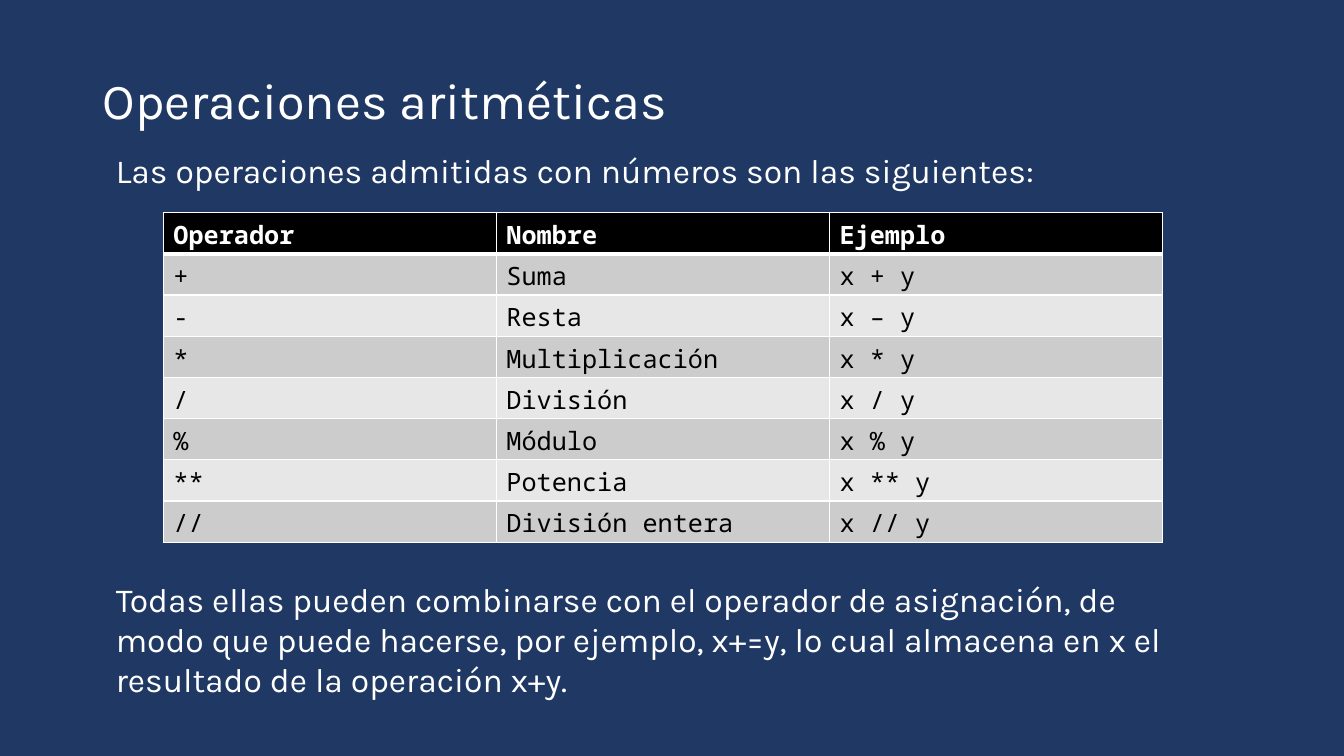
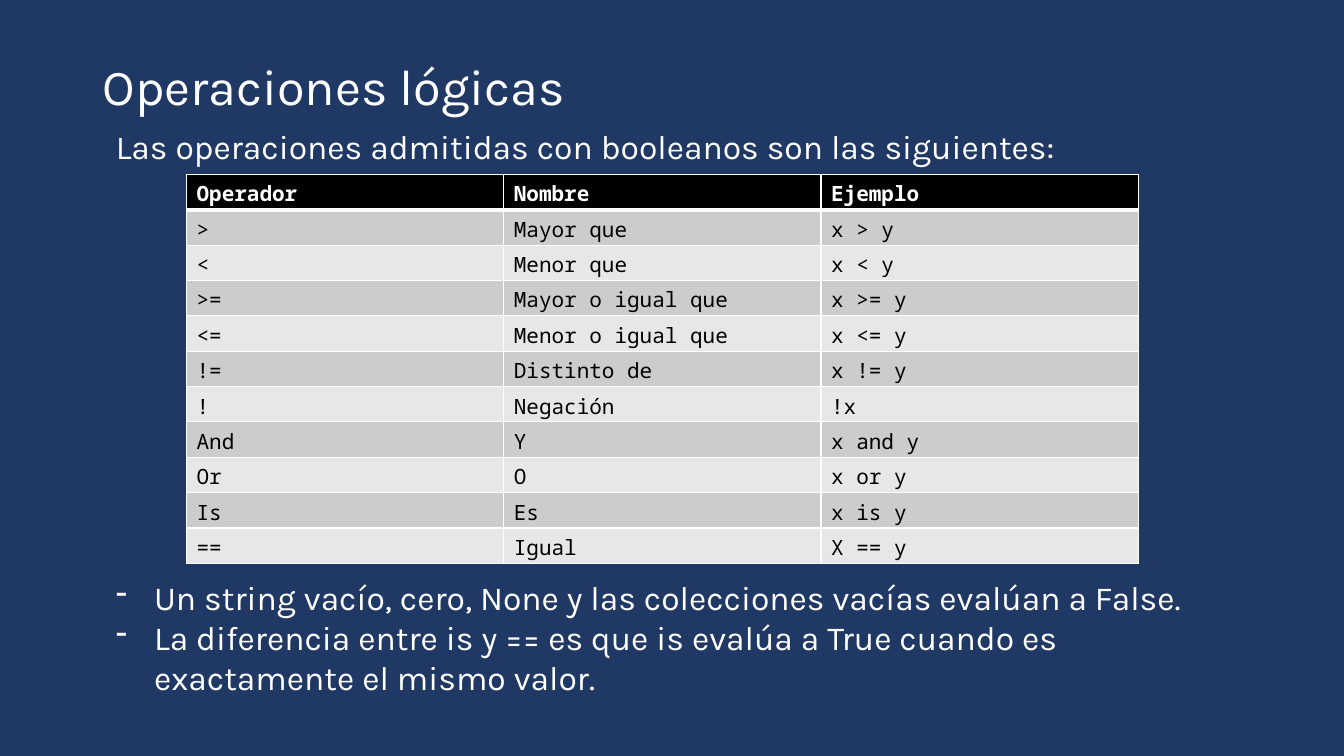
from pptx import Presentation
from pptx.dml.color import RGBColor
from pptx.enum.text import MSO_AUTO_SIZE
from pptx.oxml import parse_xml
from pptx.oxml.ns import nsdecls
from pptx.util import Inches, Pt

NAVY, WHITE, BLACK = "203864", "FFFFFF", "000000"
BANDS = ["CCCCCC", "E7E7E7"]
HEADER = ("Operador", "Nombre", "Ejemplo")
TITLE = {"name": "Karla", "size": Pt(36)}
BODY = {"name": "Karla", "size": Pt(24)}
BULLET_INDENT = Inches(0.38)
CELL_MARGINS = {"margin_left": Inches(0.1), "margin_right": Inches(0.1),
                "margin_top": Inches(0.05), "margin_bottom": Inches(0.01)}

SLIDES = [
    {
        "title": ("Operaciones aritméticas", 0.64),
        "intro": ("Las operaciones admitidas con números son las siguientes:", 1.44),
        "table": (1.62, 2.11, 9.91, 3.27), "size": 18,
        "rows": [
            ("+", "Suma", "x + y"),
            ("-", "Resta", "x – y"),
            ("*", "Multiplicación", "x * y"),
            ("/", "División", "x / y"),
            ("%", "Módulo", "x % y"),
            ("**", "Potencia", "x ** y"),
            ("//", "División entera", "x // y"),
        ],
        "notes": (["Todas ellas pueden combinarse con el operador de asignación, "
                   "de modo que puede hacerse, por ejemplo, x+=y, lo cual almacena "
                   "en x el resultado de la operación x+y."], 5.69),
        "bullets": False,
    },
    {
        "title": ("Operaciones lógicas", 0.5),
        "intro": ("Las operaciones admitidas con booleanos son las siguientes:", 1.2),
        "table": (1.85, 1.73, 9.44, 3.86), "size": 15,
        "rows": [
            (">", "Mayor que", "x > y"),
            ("<", "Menor que", "x < y"),
            (">=", "Mayor o igual que", "x >= y"),
            ("<=", "Menor o igual que", "x <= y"),
            ("!=", "Distinto de", "x != y"),
            ("!", "Negación", "!x"),
            ("And", "Y", "x and y"),
            ("Or", "O", "x or y"),
            ("Is", "Es", "x is y"),
            ("==", "Igual", "X == y"),
        ],
        "notes": (["Un string vacío, cero, None y las colecciones vacías evalúan a False.",
                   "La diferencia entre is y == es que is evalúa a True cuando es "
                   "exactamente el mismo valor."], 5.67),
        "bullets": True,
    },
]


def rgb(color):
    return RGBColor.from_string(color)


def add_text(s, lines, box, fmt, bullets=False):
    tf = s.shapes.add_textbox(*map(Inches, box)).text_frame
    tf.word_wrap = True
    tf.auto_size = MSO_AUTO_SIZE.SHAPE_TO_FIT_TEXT
    for i, line in enumerate(lines):
        p = tf.paragraphs[0] if i == 0 else tf.add_paragraph()
        if bullets:
            pPr = p._p.get_or_add_pPr()
            pPr.set("marL", str(BULLET_INDENT))
            pPr.set("indent", str(-BULLET_INDENT))
            pPr.append(parse_xml(f'<a:buChar {nsdecls("a")} char="-"/>'))
        r = p.add_run()
        r.text = line
        for key, value in fmt.items():
            setattr(r.font, key, value)
        r.font.color.rgb = rgb(WHITE)


prs = Presentation()
prs.slide_width, prs.slide_height = Inches(13.33), Inches(7.5)

for content in SLIDES:
    s = prs.slides.add_slide(prs.slide_layouts[6])
    s.background.fill.solid()
    s.background.fill.fore_color.rgb = rgb(NAVY)

    # Title and introduction
    title, top = content["title"]
    add_text(s, [title], (0.92, top, 7.69, 0.71), TITLE)
    intro, top = content["intro"]
    add_text(s, [intro], (1.05, top, 11.06, 0.5), BODY)

    # Operator table
    rows = [HEADER] + content["rows"]
    table = s.shapes.add_table(len(rows), len(HEADER),
                               *map(Inches, content["table"])).table
    for i, row in enumerate(rows):
        is_header = i == 0
        fill = BLACK if is_header else BANDS[(i - 1) % 2]
        widths = {"lnL": 1, "lnR": 1, "lnT": 3 if i == 1 else 1,
                  "lnB": 3 if is_header else 1}
        for j, text in enumerate(row):
            cell = table.cell(i, j)
            for key, value in CELL_MARGINS.items():
                setattr(cell, key, value)
            tcPr = cell._tc.get_or_add_tcPr()
            for side, width in widths.items():
                tcPr.append(parse_xml(
                    f'<a:{side} {nsdecls("a")} w="{Pt(width)}"><a:solidFill>'
                    f'<a:srgbClr val="{WHITE}"/></a:solidFill></a:{side}>'))
            cell.fill.solid()
            cell.fill.fore_color.rgb = rgb(fill)
            r = cell.text_frame.paragraphs[0].add_run()
            r.text = text
            fmt = {"name": "Noto Sans Mono", "size": Pt(content["size"]), "bold": is_header}
            for key, value in fmt.items():
                setattr(r.font, key, value)
            r.font.color.rgb = rgb(WHITE if is_header else BLACK)

    # Closing remarks
    lines, top = content["notes"]
    add_text(s, lines, (1.05, top, 11.06, 1.31), BODY, content["bullets"])

prs.save("out.pptx")
